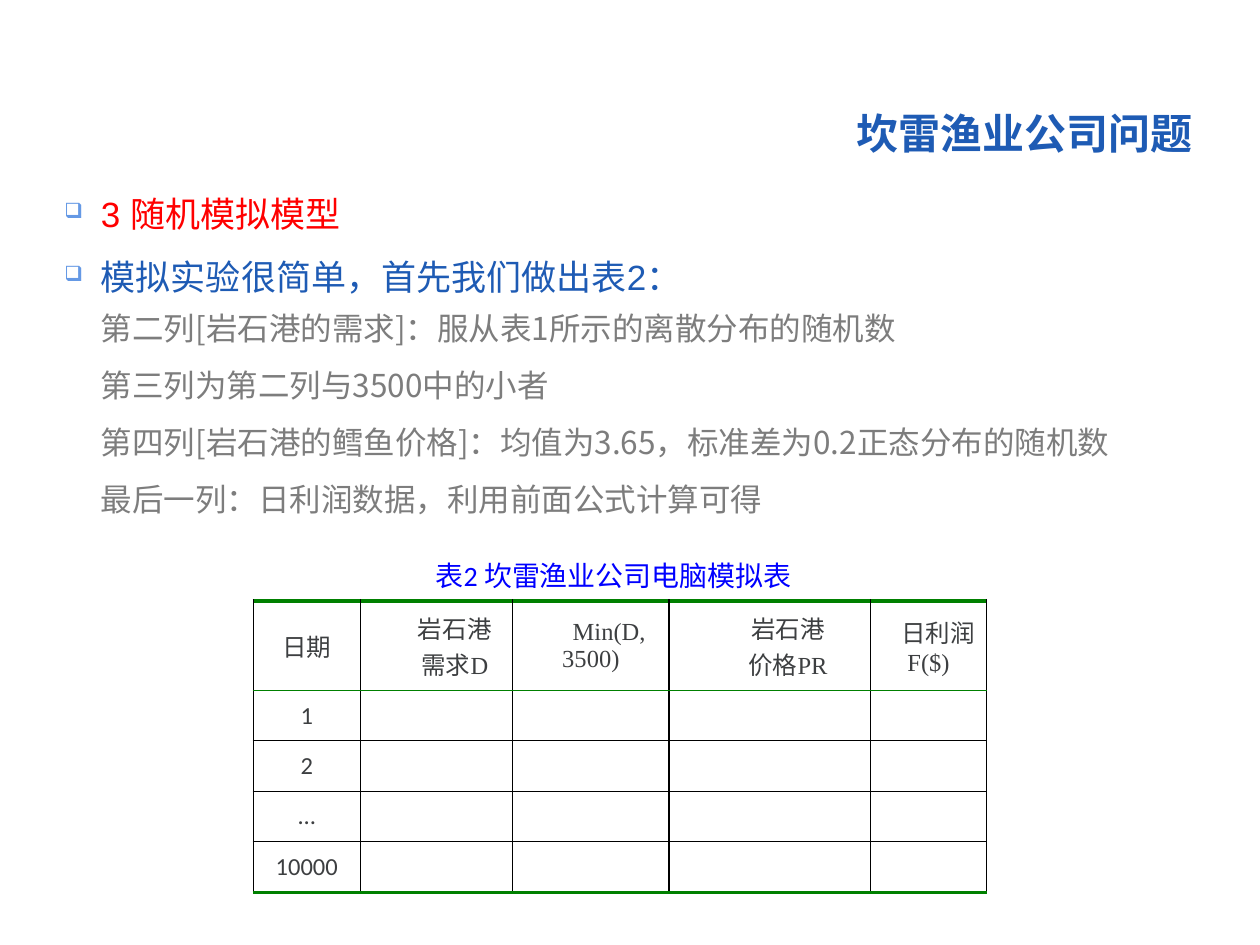
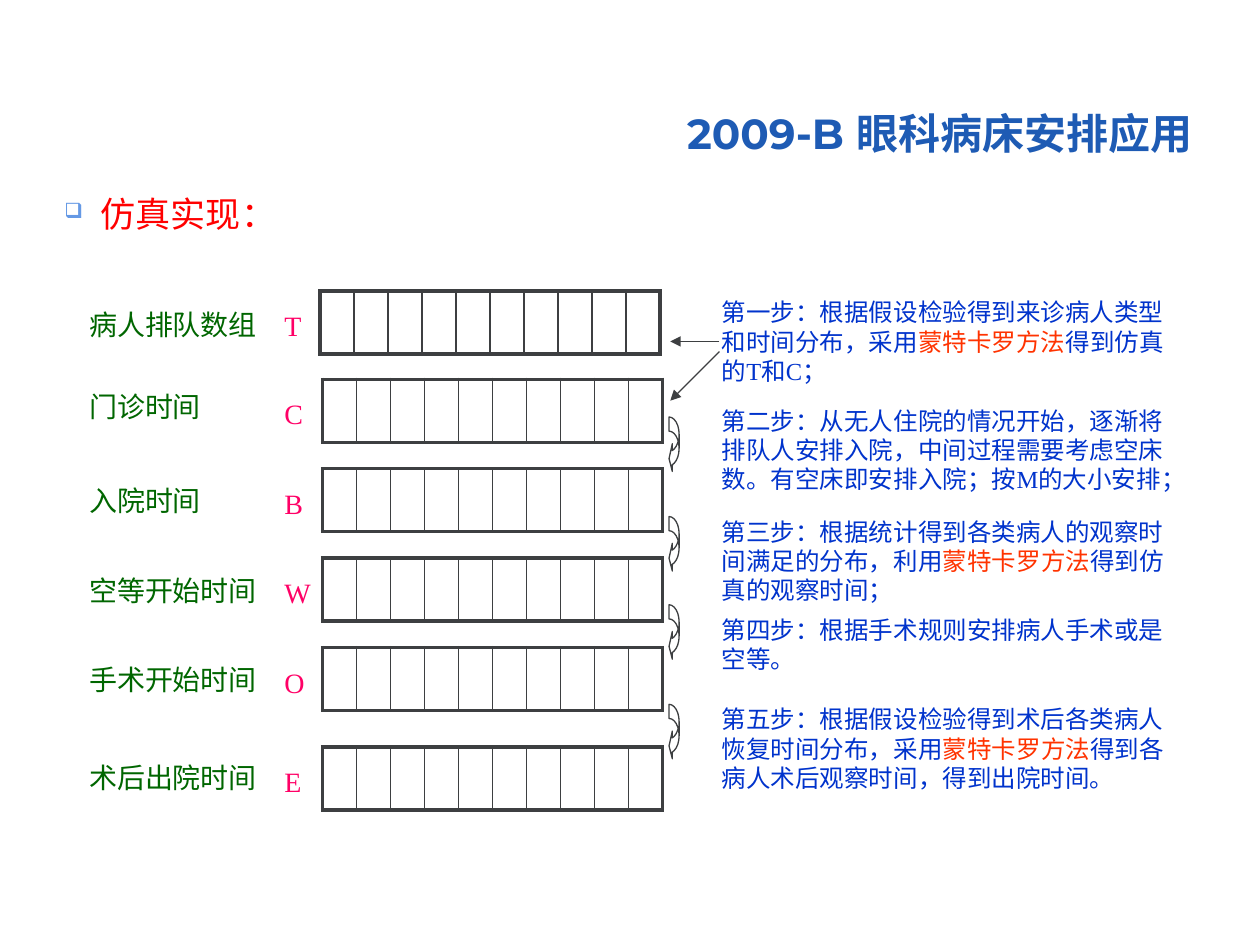
from dataclasses import dataclass

from lxml import etree
from pptx import Presentation, util as u
from pptx.dml.color import RGBColor
from pptx.enum import shapes, text
from pptx.oxml.ns import qn


@dataclass(frozen=True)
class Theme:
    # looks: size, font, colour, bold
    title: tuple = (24, "Montserrat", "1E5BB4", True)
    topic: tuple = (20, "Arial", "FF0000", False)
    point: tuple = (20, "Arial", "1E5BB4", False)
    detail: tuple = (18, "Noto Sans CJK SC", "7D7D7D", False)
    caption: tuple = (16, "Calibri", "0000FF", False)
    head: tuple = (14, "Times New Roman", "3D3F41", False)
    number: tuple = (14, "Calibri", "3D3F41", False)
    symbol: tuple = (16, "Times New Roman", "FF0066", False)
    label: tuple = (16, "Times New Roman", "006600", False)
    step: tuple = (14, "Times New Roman", "0033CC", False)
    cjk: str = "Noto Sans CJK SC"
    bullet: str = "6599E5"
    method: str = "FF3300"
    ink: str = "3D3F41"
    grid: str = "000000"
    rule: str = "008000"


T = Theme()
METHOD = "蒙特卡罗方法"
ALIGN = text.PP_ALIGN
ANCHOR = text.MSO_ANCHOR

prs = Presentation()
prs.slide_width, prs.slide_height = u.Inches(10), u.Inches(7.5)
G = prs.slide_width / 100  # the grid has 100 columns and 75 rows


def write(host, lines, at=None, align=ALIGN.LEFT, inset=(1, 0.5)):
    """Fill a cell, or a new text box at a grid place, with (text, look) lines."""
    if at:
        tf = host.shapes.add_textbox(*(int(v * G) for v in at)).text_frame
        tf.margin_left = tf.margin_right = int(inset[0] * G)
        tf.margin_top = tf.margin_bottom = int(inset[1] * G)
        tf.word_wrap = True
    else:
        tf = host.text_frame
    for i, (line, (size, name, color, bold)) in enumerate(lines):
        p = tf.add_paragraph() if i else tf.paragraphs[0]
        p.alignment = align
        p.font.size, p.font.name, p.font.bold = u.Pt(size), name, bold
        for part in filter(None, line.partition(METHOD)):
            r = p.add_run()
            r.text = part
            r.font.size, r.font.name, r.font.bold = u.Pt(size), name, bold
            r.font.color.rgb = RGBColor.from_string(T.method if part == METHOD else color)
            etree.SubElement(r.font._element, qn("a:ea"), typeface=T.cjk)
    return tf


def border(cell, **sides):
    """Draw cell sides L, R, T, B given as (colour, points), with no fill."""
    tcPr = cell._tc.get_or_add_tcPr()
    for side in "LRTB":
        color, width = sides[side]
        ln = etree.SubElement(tcPr, qn("a:ln" + side), w=str(u.Pt(width)))
        fill = etree.SubElement(ln, qn("a:solidFill"))
        etree.SubElement(fill, qn("a:srgbClr"), val=color)
    cell.fill.background()


# Shared title and bulleted body
pages = [
    ("坎雷渔业公司问题", 28.9, [
        ("3 随机模拟模型", T.topic),
        ("模拟实验很简单，首先我们做出表2：", T.point),
        ("第二列[岩石港的需求]：服从表1所示的离散分布的随机数", T.detail),
        ("第三列为第二列与3500中的小者", T.detail),
        ("第四列[岩石港的鳕鱼价格]：均值为3.65，标准差为0.2正态分布的随机数", T.detail),
        ("最后一列：日利润数据，利用前面公式计算可得", T.detail)]),
    ("2009-B 眼科病床安排应用", 5.5, [("仿真实现：", T.topic)]),
]
for title, body_height, body in pages:
    s = prs.slides.add_slide(prs.slide_layouts[6])
    tf = write(s, [(title, T.title)], (29.4, 5.3, 65.9, 7.7), ALIGN.RIGHT, (0.7, 0.4))
    tf.vertical_anchor = ANCHOR.BOTTOM
    tf.paragraphs[0].line_spacing = 0.9

    tf = write(s, body, (4.4, 14.9, 90.8, body_height), ALIGN.JUSTIFY, (0.7, 0.4))
    for p, (_, look) in zip(tf.paragraphs, body):
        pPr = p._p.get_or_add_pPr()
        pPr.set("marL", str(u.Inches(0.29)))
        if look == T.detail:
            pPr.set("indent", "0")
            p.line_spacing, p.space_after = 1.3, u.Pt(4.5)
            continue
        p.space_before = u.Pt(12)
        pPr.set("indent", str(-u.Inches(0.29)))
        bullet = [etree.Element(qn("a:buClr")),
                  etree.Element(qn("a:buSzPct"), val="60000"),
                  etree.Element(qn("a:buChar"), char="❑")]
        etree.SubElement(bullet[0], qn("a:srgbClr"), val=T.bullet)
        at = pPr.index(pPr.find(qn("a:defRPr")))
        pPr[at:at] = bullet

fishery, hospital = prs.slides

# Slide 1: simulation table with its caption
write(fishery, [("表2 坎雷渔业公司电脑模拟表", T.caption)],
      (29.4, 43.8, 38.6, 3.9), ALIGN.CENTER)
heads = [(["日期"], 0), (["岩石港", "需求D"], 0.29), (["Min(D, 3500)"], 0.29),
         (["岩石港", "价格PR"], 0.29), (["日利润F($)"], 0.15)]
days = ["1", "2", "…", "10000"]
col_widths = [8.5, 12.1, 12.4, 16, 9.2]
row_heights = [7.1] + [4] * len(days)
place = (20.1, 47.7, sum(col_widths), sum(row_heights))
tbl = fishery.shapes.add_table(len(row_heights), len(col_widths),
                               *(int(v * G) for v in place)).table
tbl.first_row = tbl.horz_banding = False
for col, width in zip(tbl.columns, col_widths):
    col.width = int(width * G)
for row, height in zip(tbl.rows, row_heights):
    row.height = int(height * G)

thin = (T.grid, 0.75)
levels = [(T.rule, 2), (T.rule, 1)] + [thin] * (len(days) - 1) + [(T.rule, 2)]
for i in range(len(row_heights)):
    for j, (head, indent) in enumerate(heads):
        cell = tbl.cell(i, j)
        cell.margin_left = cell.margin_right = cell.margin_top = cell.margin_bottom = 0
        cell.vertical_anchor = ANCHOR.MIDDLE
        border(cell, L=thin, R=thin, T=levels[i], B=levels[i + 1])
        if i == 0:
            tf = write(cell, [(line, T.head) for line in head], align=ALIGN.CENTER)
            for p in tf.paragraphs:
                p._p.get_or_add_pPr().set("indent", str(u.Inches(indent)))
        elif j == 0:
            write(cell, [(days[i - 1], T.number)], align=ALIGN.CENTER)
        else:
            cell.text_frame.paragraphs[0].font.size = u.Pt(14)

# Slide 2: one ten-cell array per patient record
# name, symbol, left, array top, name top
arrays = [("病人排队数组", "T", 25.4, 23.1, 23.9), ("门诊时间", "C", 25.6, 30.1, 30.4),
          ("入院时间", "B", 25.6, 37.2, 37.9), ("空等开始时间", "W", 25.6, 44.3, 45),
          ("手术开始时间", "O", 25.6, 51.4, 52.1), ("术后出院时间", "E", 25.6, 59.3, 59.9)]
slots = 10
thick, fine = (T.ink, 2.25), (T.ink, 1)
for name, symbol, left, top, name_top in arrays:
    place = (left, top, 2.7 * slots, 5)
    tbl = hospital.shapes.add_table(1, slots, *(int(v * G) for v in place)).table
    tbl.first_row = tbl.horz_banding = False
    for k in range(slots):
        border(tbl.cell(0, k), T=thick, B=thick,
               L=fine if k else thick, R=fine if k < slots - 1 else thick)
    write(hospital, [(symbol, T.symbol)], (21.6, top + 0.9, 4.3, 3.7))
    write(hospital, [(name, T.label)], (6.1, name_top, 15.5, 3.7))

# Curved arrows from each array to the next
for top in (33.1, 41, 48, 55.9):
    sp = hospital.shapes.add_shape(shapes.MSO_SHAPE.CURVED_LEFT_ARROW,
                                   *(int(v * G) for v in (53.1, top, 0.8, 4.4)))
    sp.shadow.inherit = False
    sp.fill.background()
    sp.line.color.rgb = RGBColor.from_string(T.ink)
    sp.line.width = u.Pt(0.75)
    for k, value in enumerate((1.41, 2.83, 0.33)):
        sp.adjustments[k] = value

# Steps
steps = [
    (23.1, 8.1, "第一步：根据假设检验得到来诊病人类型和时间分布，采用蒙特卡罗方法得到仿真的T和C；"),
    (31.7, 8.1, "第二步：从无人住院的情况开始，逐渐将排队人安排入院，中间过程需要考虑空床数。"
                "有空床即安排入院；按M的大小安排；"),
    (40.5, 8.1, "第三步：根据统计得到各类病人的观察时间满足的分布，利用蒙特卡罗方法得到仿真的观察时间；"),
    (48.3, 5.7, "第四步：根据手术规则安排病人手术或是空等。"),
    (55.4, 8.1, "第五步：根据假设检验得到术后各类病人恢复时间分布，采用蒙特卡罗方法"
                "得到各病人术后观察时间，得到出院时间。"),
]
for top, height, step in steps:
    write(hospital, [(step, T.step)], (56.3, top, 38.6, height))

# Arrows from the first step to arrays T and C
for start, end in ((27.1, 27.1), (27.9, 31.8)):
    cx = hospital.shapes.add_connector(shapes.MSO_CONNECTOR.STRAIGHT,
                                       *(int(v * G) for v in (57.1, start, 53.2, end)))
    cx.line.color.rgb = RGBColor.from_string(T.ink)
    cx.line.width = u.Pt(0.75)
    etree.SubElement(cx.line._get_or_add_ln(), qn("a:tailEnd"), type="triangle")
    etree.SubElement(cx._element.spPr, qn("a:effectLst"))

prs.save("out.pptx")
